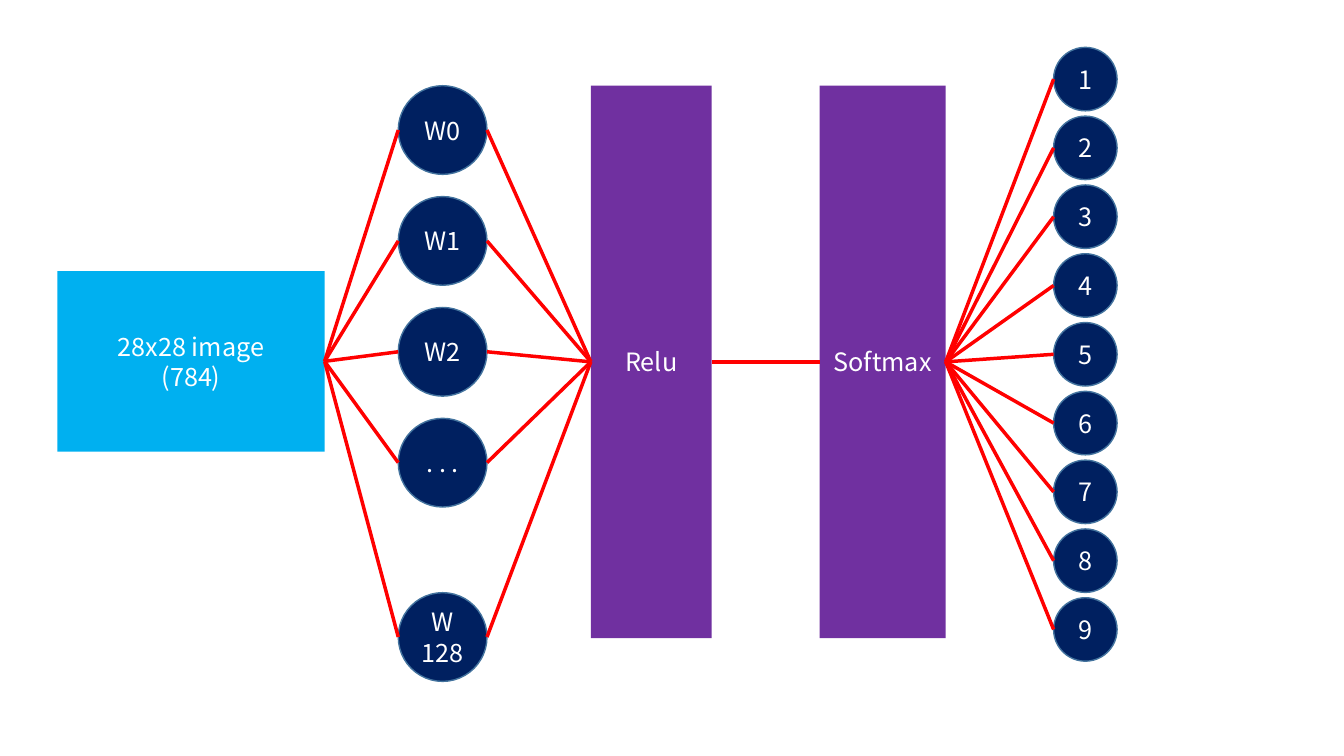
from lxml import etree
from pptx import Presentation
from pptx.dml.color import RGBColor
from pptx.enum.shapes import MSO_CONNECTOR, MSO_SHAPE
from pptx.enum.text import MSO_ANCHOR, PP_ALIGN
from pptx.oxml.ns import qn
from pptx.util import Inches, Pt

RECTANGLE, OVAL = MSO_SHAPE.RECTANGLE, MSO_SHAPE.OVAL
STRAIGHT = MSO_CONNECTOR.STRAIGHT
MIDDLE, CENTER = MSO_ANCHOR.MIDDLE, PP_ALIGN.CENTER

SKY = RGBColor(0x00, 0xB0, 0xF0)
NAVY = RGBColor(0x00, 0x20, 0x60)
STEEL = RGBColor(0x43, 0x73, 0x9E)
PURPLE = RGBColor(0x70, 0x30, 0xA0)
RED = RGBColor(0xFF, 0x00, 0x00)
WHITE = RGBColor(0xFF, 0xFF, 0xFF)
FONT = "Noto Sans CJK KR"

deck = Presentation()
deck.slide_width, deck.slide_height = Inches(13.33), Inches(7.5)
page = deck.slides.add_slide(deck.slide_layouts[6])


def add_node(kind, left, top, width, height, fill, label):
    node = page.shapes.add_shape(
        kind, Inches(left), Inches(top), Inches(width), Inches(height))
    node.shadow.inherit = False
    node.fill.solid()
    node.fill.fore_color.rgb = fill
    if kind == OVAL:
        node.line.color.rgb = STEEL
        node.line.width = Pt(1)
    else:
        node.line.fill.background()
    frame = node.text_frame
    frame.vertical_anchor = MIDDLE
    if kind == OVAL:
        frame.margin_left = frame.margin_right = Inches(0.05)
    para = frame.paragraphs[0]
    para.text = label
    para.alignment = CENTER
    for span in para.runs:
        span.font.name = FONT
        span.font.size = Pt(18)
        span.font.color.rgb = WHITE
    return node


def link(source, target):
    """Join the right middle of source to the left middle of target."""
    line = page.shapes.add_connector(
        STRAIGHT,
        source.left + source.width, source.top + source.height // 2,
        target.left, target.top + target.height // 2)
    line.line.color.rgb = RED
    line.line.width = Pt(2.5)
    etree.SubElement(line._element.spPr, qn("a:effectLst"))


image = add_node(RECTANGLE, 0.57, 2.69, 2.65, 1.79, SKY, "28x28 image\v(784)")
relu = add_node(RECTANGLE, 5.86, 0.85, 1.2, 5.48, PURPLE, "Relu")
softmax = add_node(RECTANGLE, 8.13, 0.85, 1.25, 5.48, PURPLE, "Softmax")
link(relu, softmax)

# Hidden layer: evenly spaced weights, with a gap before the last one
weights = [("W0", 0.85), ("W1", 1.95), ("W2", 3.05), (". . .", 4.15), ("W\v128", 5.88)]
for label, top in weights:
    weight = add_node(OVAL, 3.95, top, 0.88, 0.88, NAVY, label)
    link(image, weight)
    link(weight, relu)

# Output layer
first_top, last_top, count = 0.47, 5.93, 9
step = (last_top - first_top) / (count - 1)
for index in range(count):
    digit = add_node(OVAL, 10.45, first_top + index * step, 0.63, 0.63, NAVY, str(index + 1))
    link(softmax, digit)

deck.save("out.pptx")
